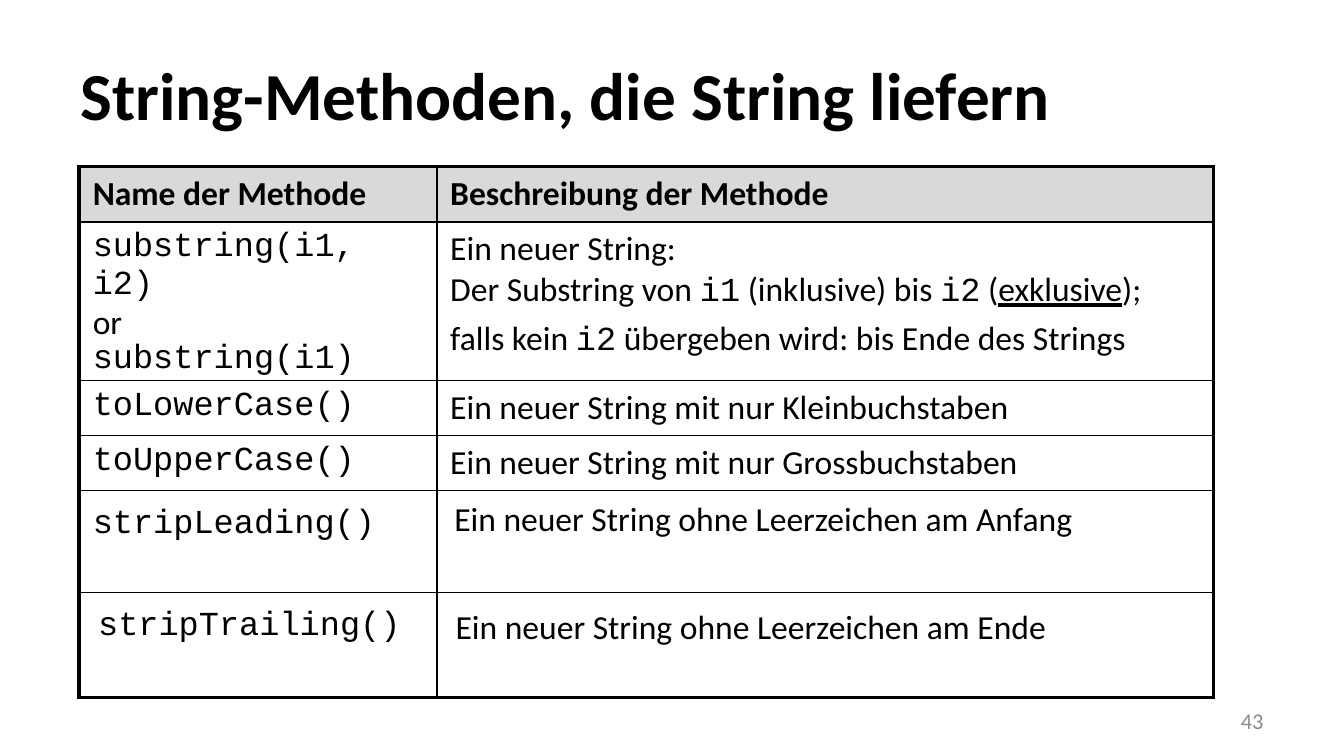
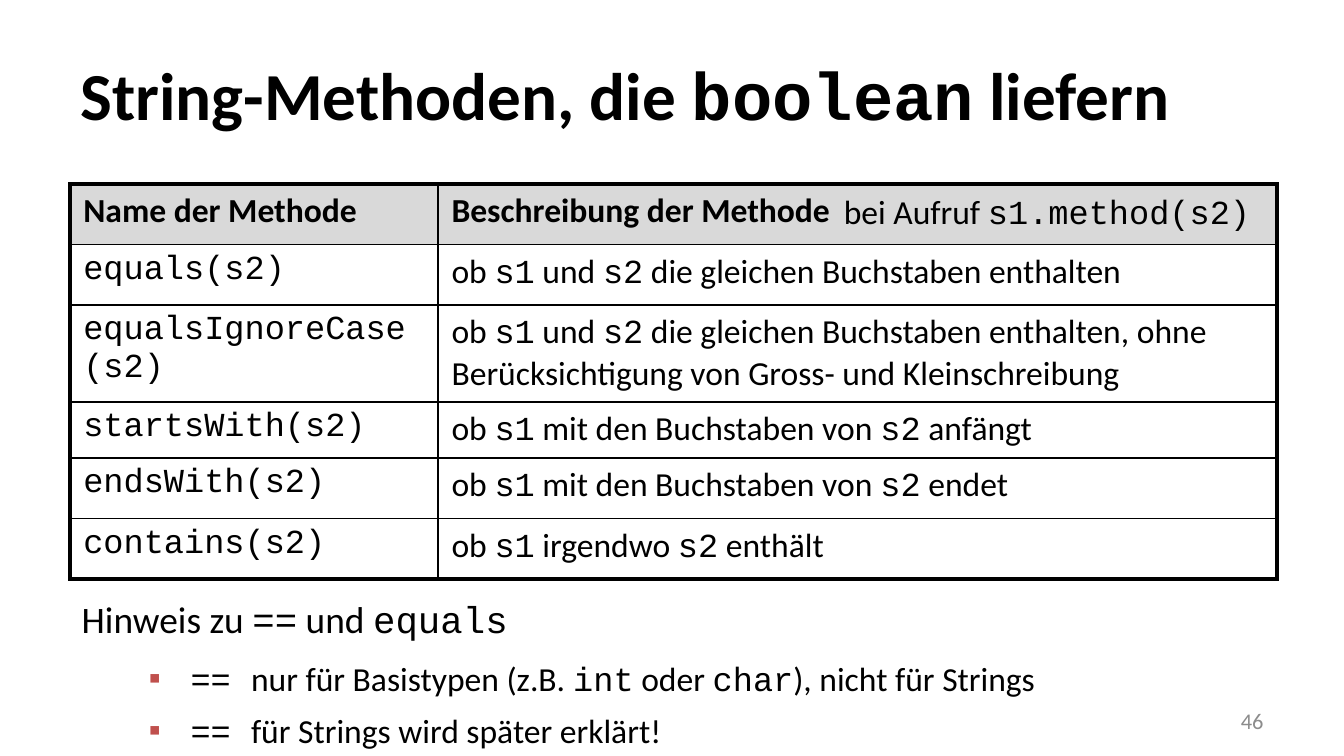
from dataclasses import dataclass
from lxml.etree import SubElement
from pptx import Presentation
from pptx.dml.color import RGBColor
from pptx.enum.text import MSO_ANCHOR, MSO_AUTO_SIZE, PP_ALIGN
from pptx.oxml import parse_xml
from pptx.oxml.ns import nsdecls, qn
from pptx.util import Inches, Pt


@dataclass(frozen=True)
class Theme:
    sans: str = "Calibri"
    mono: str = "Courier New"
    ink: str = "000000"
    grey: str = "8C8C8C"
    head: str = "D9D9D9"
    mark: str = "C0504D"
    title: int = 36
    lead: int = 20
    text: int = 18
    foot: int = 12
    thick: float = 2.25
    thin: float = 1


T = Theme()
WIDE = 10
HIGH = WIDE * 9 / 16
EDGE = WIDE * 0.05

PAGES = [
    {
        "title": "String-Methoden, die String liefern",
        "num": "43",
        "at": (0.59, 1.24),
        "cols": (2.66, 5.78),
        "rows": (0.41, 1.1, 0.41, 0.41, 0.76, 0.78),
        "cells": [
            ("Name der Methode", "Beschreibung der Methode"),
            (["`substring(i1, i2)`", "or", "`substring(i1)`"],
             ["Ein neuer String: \nDer Substring von `i1` (inklusive) bis `i2` (_exklusive_);",
              "falls kein `i2` übergeben wird: bis Ende des Strings"]),
            ("`toLowerCase()`", "Ein neuer String mit nur Kleinbuchstaben"),
            ("`toUpperCase()`", "Ein neuer String mit nur Grossbuchstaben"),
            ("`stripLeading()`", "Ein neuer String ohne Leerzeichen am Anfang"),
            ("`stripTrailing()`", "Ein neuer String ohne Leerzeichen am Ende"),
        ],
        "pads": {
            (1, 0): (0.1, 0.05, 0.1, 0.01),
            (4, 0): (0.1, 0.11, 0.04, 0.04),
            (4, 1): (0.13, 0.07, 0.13, 0.07),
            (5, 0): (0.14, 0.11, 0.13, 0.04),
            (5, 1): (0.14, 0.11, 0.13, 0.04),
        },
    },
    {
        "title": "String-Methoden, die `boolean` liefern",
        "num": "46",
        "at": (0.52, 1.37),
        "cols": (2.74, 6.24),
        "rows": (0.45, 0.45, 0.72, 0.42, 0.45, 0.45),
        "cells": [
            ("Name der Methode", "Beschreibung der Methode"),
            ("`equals(s2)`", "ob `s1` und `s2` die gleichen Buchstaben enthalten"),
            ("`equalsIgnoreCase(s2)`",
             "ob `s1` und `s2` die gleichen Buchstaben enthalten, ohne "
             "Berücksichtigung von Gross- und Kleinschreibung"),
            ("`startsWith(s2)`", "ob `s1` mit den Buchstaben von `s2` anfängt"),
            ("`endsWith(s2)`", "ob `s1` mit den Buchstaben von `s2` endet"),
            ("`contains(s2)`", "ob `s1` irgendwo `s2` enthält"),
        ],
        "pads": {},
        "call": "bei Aufruf `s1.method(s2)`",
        "hint": "Hinweis zu `==` und `equals`",
        "points": [
            "`== `nur für Basistypen (z.B. `int` oder `char`), nicht für Strings",
            "`== `für Strings wird später erklärt!",
        ],
    },
]


def write(para, text, size, bold=False, tone=T.ink):
    parts = text.split("`")
    code = len(parts) == 3 and not parts[0] and not parts[2]
    font = para.font
    font.name = T.mono if code else T.sans
    font.size, font.bold = Pt(size), bold
    font.color.rgb = RGBColor.from_string(tone)
    for i, part in enumerate(parts):
        for j, bit in enumerate(part.split("_")):
            for k, line in enumerate(bit.split("\n")):
                if k:
                    para.add_line_break()
                if not line:
                    continue
                run = para.add_run()
                run.text = line
                if i % 2 and not code:
                    run.font.name = T.mono
                if j % 2:
                    run.font.underline = True


def box(slide, left, top, width, height, mid=False):
    area = slide.shapes.add_textbox(*map(Inches, (left, top, width, height)))
    frame = area.text_frame
    frame.word_wrap = True
    frame.vertical_anchor = MSO_ANCHOR.MIDDLE if mid else MSO_ANCHOR.TOP
    return frame


def border(cell, sides):
    props = cell._tc.get_or_add_tcPr()
    for i, (side, thick) in enumerate(zip("LRTB", sides)):
        width = Pt(T.thick if thick else T.thin)
        props.insert(i, parse_xml(
            f'<a:ln{side} {nsdecls("a")} w="{width}"><a:solidFill>'
            f'<a:srgbClr val="{T.ink}"/></a:solidFill></a:ln{side}>'))


def fill(cell, text, head, tight):
    lines = [text] if isinstance(text, str) else text
    frame = cell.text_frame
    for i, line in enumerate(lines):
        para = frame.add_paragraph() if i else frame.paragraphs[0]
        if i:
            para.space_before = Pt(T.text * 0.2)
            if tight:
                para.line_spacing = 0.7
        write(para, line, T.text, head)
    if head:
        cell.fill.solid()
        cell.fill.fore_color.rgb = RGBColor.from_string(T.head)
    else:
        cell.fill.background()


def grid(slide, page):
    cols, rows = page["cols"], page["rows"]
    size = (*page["at"], sum(cols), sum(rows))
    table = slide.shapes.add_table(len(rows), len(cols), *map(Inches, size)).table
    table.first_row = table.horz_banding = False
    for col, width in zip(table.columns, cols):
        col.width = Inches(width)
    for row, height in zip(table.rows, rows):
        row.height = Inches(height)
    for r, texts in enumerate(page["cells"]):
        for c, text in enumerate(texts):
            cell = table.cell(r, c)
            fill(cell, text, r == 0, c == 0)
            border(cell, (c == 0, c == len(cols) - 1, r == 0, r == len(rows) - 1))
            if (r, c) in page["pads"]:
                (cell.margin_left, cell.margin_top, cell.margin_right,
                 cell.margin_bottom) = map(Inches, page["pads"][r, c])


def bullet(para):
    props = para._p.get_or_add_pPr()
    props.set("marL", str(Inches(0.81)))
    props.set("indent", str(Inches(-0.31)))
    tone = SubElement(props, qn("a:buClr"))
    SubElement(tone, qn("a:srgbClr")).set("val", T.mark)
    SubElement(props, qn("a:buFont")).set("typeface", T.sans)
    SubElement(props, qn("a:buChar")).set("char", "▪")


def hints(slide, page):
    frame = box(slide, 6.18, page["at"][1], WIDE / 2, 0.4)
    frame.auto_size = MSO_AUTO_SIZE.SHAPE_TO_FIT_TEXT
    write(frame.paragraphs[0], page["call"], T.text)

    frame = box(slide, 0.51, 4.39, WIDE - 2 * EDGE, 1.84)
    lead = frame.paragraphs[0]
    lead.space_after = Pt(6)
    write(lead, page["hint"], T.lead)
    for text in page["points"]:
        para = frame.add_paragraph()
        para.level = 1
        para.space_before = para.space_after = Pt(3)
        bullet(para)
        write(para, text, T.text)


def build(deck, page):
    slide = deck.slides.add_slide(deck.slide_layouts[6])
    title = box(slide, EDGE, 0.23, WIDE - 2 * EDGE, 0.94, True)
    write(title.paragraphs[0], page["title"], T.title, True)
    foot = box(slide, 7.17, 5.21, 2.33, 0.3, True).paragraphs[0]
    foot.alignment = PP_ALIGN.RIGHT
    write(foot, page["num"], T.foot, tone=T.grey)
    grid(slide, page)
    if "hint" in page:
        hints(slide, page)


def main():
    deck = Presentation()
    deck.slide_width, deck.slide_height = Inches(WIDE), Inches(HIGH)
    for page in PAGES:
        build(deck, page)
    deck.save("out.pptx")


if __name__ == "__main__":
    main()
